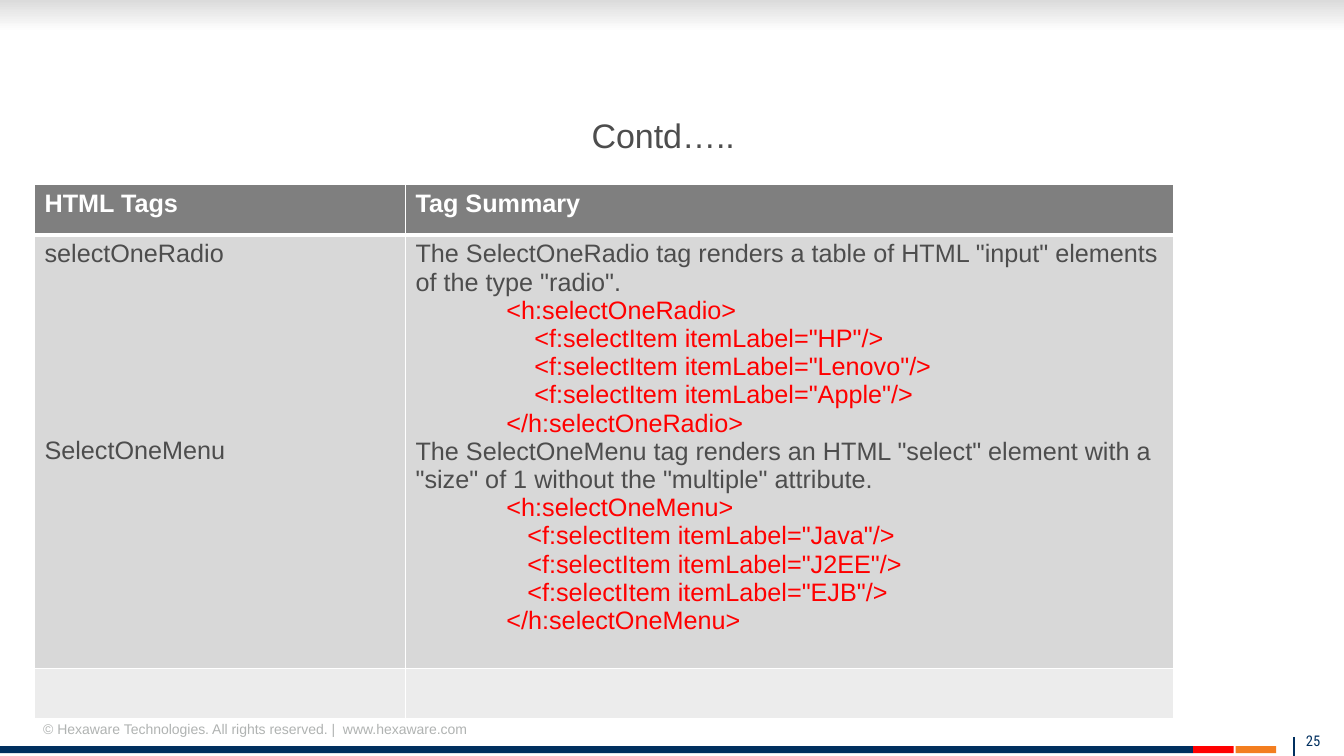
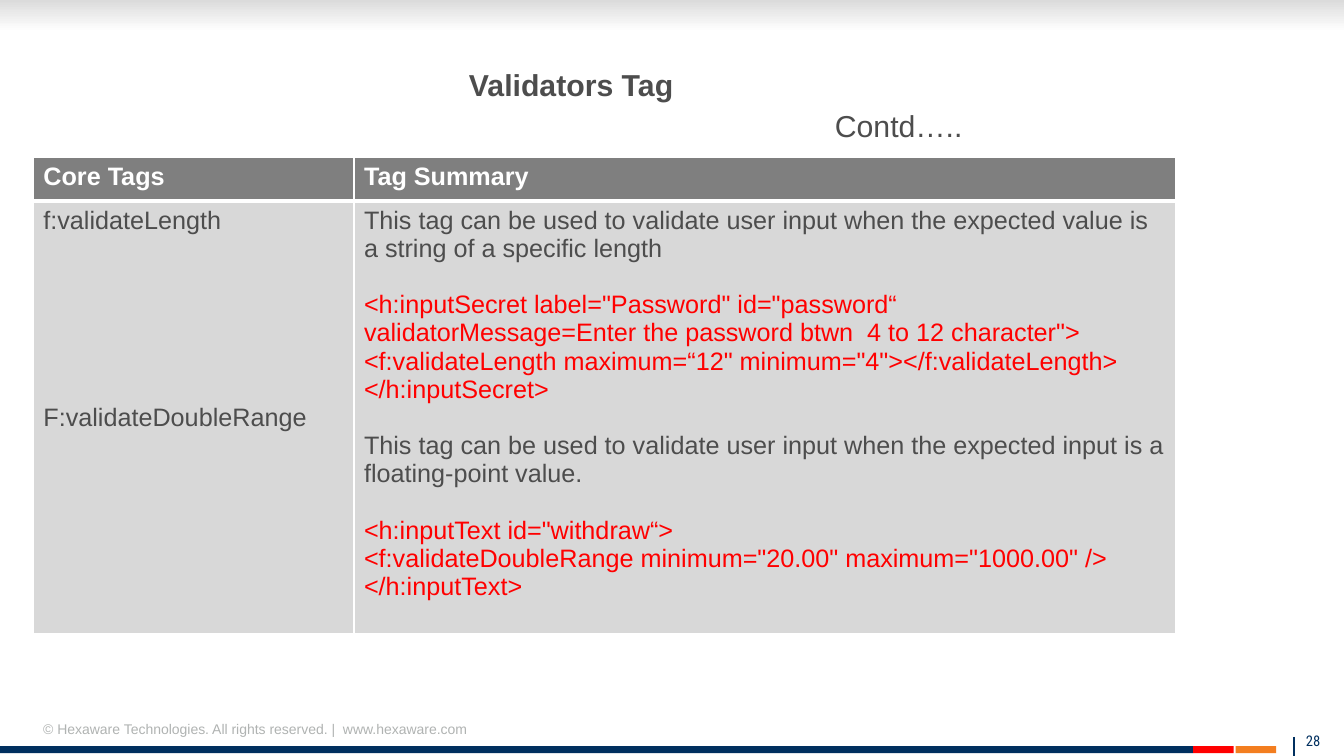
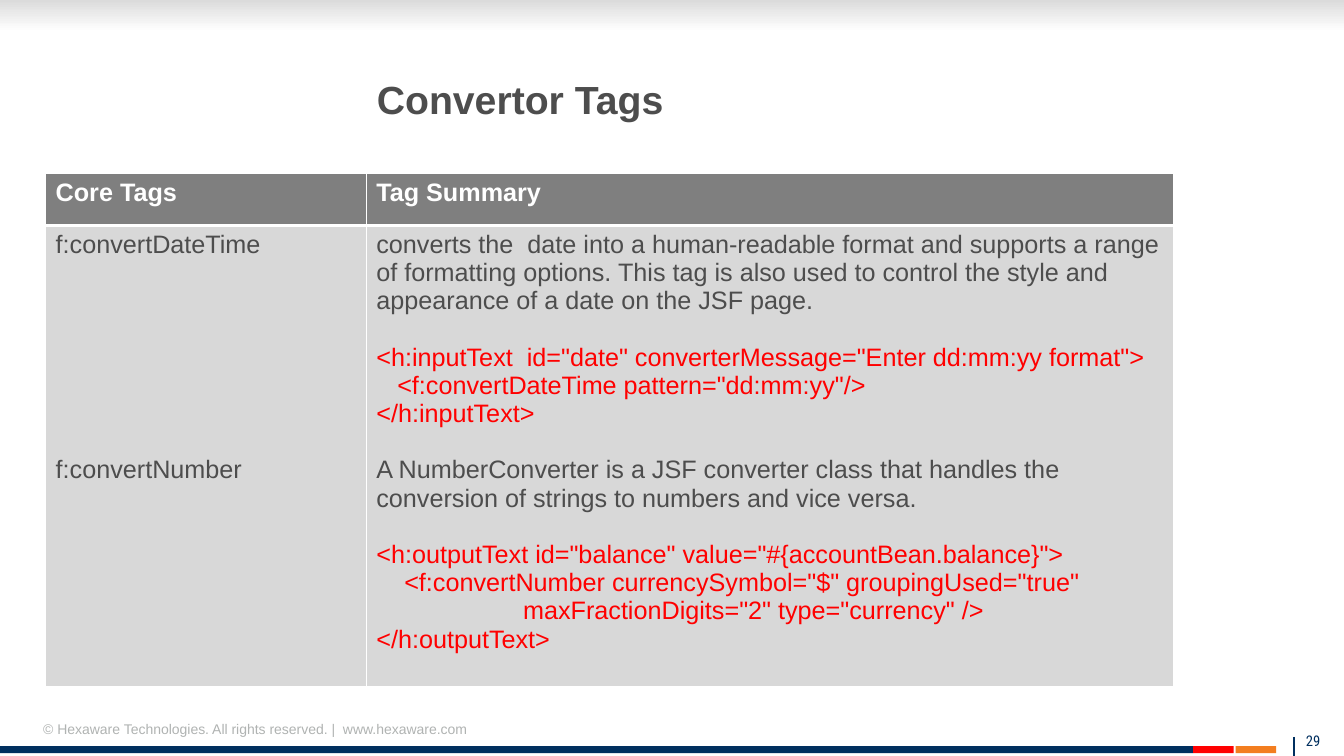
"""Build three slides of JSF tag tables with a shared band, title style and footer."""
import pptx
import pptx.dml.color
import pptx.enum.dml
import pptx.enum.shapes
import pptx.enum.text
import pptx.util
from lxml import etree

Cm, Pt = pptx.util.Cm, pptx.util.Pt
NAVY, RED, ORANGE, WHITE = "002F5F", "FF0000", "F37E20", "FFFFFF"
INK, FOOT, BAND = "4D4D4D", "B0B3B2", "D9D9D9"
HEAD_FILL, ROW_FILLS = "7F7F7F", ("D8D8D8", "ECECEC")
FONT, NUMBER_FONT = "Arial", "Roboto Condensed"
BODY_SIZE, LINE = 18, 20.1
TITLE_LEFT, TITLE_WIDTH, TITLE_HEIGHT = 0.84, 24.56, 1.7
COPYRIGHT = "© Hexaware Technologies. All rights reserved. |  www.hexaware.com"
FOOTER_BARS = [(0, 30.07, NAVY), (30.07, 1.02, RED), (31.14, 1.02, ORANGE)]

# fmt: off
SLIDES = [
    {
        "number": 25,
        "title_top": 2.55,
        "title": [("Contd…..", 24.3, False, 14.91)],
        "at": (0.87, 4.65),
        "cols": (9.35, 19.36),
        "rows": (1.27, 10.9, 1.27),
        "head": ("HTML Tags", "Tag Summary"),
        "tags": [(0, INK, ["selectOneRadio"]), (6, INK, ["SelectOneMenu"])],
        "summary": [
            (0, INK, ['The SelectOneRadio tag renders a table of HTML "input" elements of the type "radio".']),
            (0, RED, [
                '             <h:selectOneRadio>',
                '                 <f:selectItem itemLabel="HP"/>',
                '                 <f:selectItem itemLabel="Lenovo"/>',
                '                 <f:selectItem itemLabel="Apple"/>',
                '             </h:selectOneRadio>',
            ]),
            (0, INK, ['The SelectOneMenu tag renders an HTML "select" element with a "size" of 1 '
                      'without the "multiple" attribute.']),
            (0, RED, [
                '             <h:selectOneMenu>',
                '                <f:selectItem itemLabel="Java"/>',
                '                <f:selectItem itemLabel="J2EE"/>',
                '                <f:selectItem itemLabel="EJB"/>',
                '             </h:selectOneMenu>',
            ]),
        ],
    },
    {
        "number": 28,
        "title_top": 1.8,
        "title": [("Validators Tag", 21.6, True, 11.82), ("Contd…..", 21.6, False, 21.04)],
        "at": (0.84, 3.96),
        "cols": (8.08, 20.7),
        "rows": (1.11, 10.9),
        "head": ("Core Tags", "Tag Summary"),
        "tags": [(0, INK, ["f:validateLength"]), (6, INK, ["F:validateDoubleRange"])],
        "summary": [
            (0, INK, ["This tag can be used to validate user input when the expected value is "
                      "a string of a specific length"]),
            (1, RED, [
                '<h:inputSecret label="Password" id="password“',
                'validatorMessage=Enter the password btwn  4 to 12 character">',
                '<f:validateLength maximum=“12" minimum="4"></f:validateLength>',
                '</h:inputSecret>',
            ]),
            (1, INK, ["This tag can be used to validate user input when the expected input is "
                      "a floating-point value."]),
            (1, RED, [
                '<h:inputText id="withdraw“>',
                '<f:validateDoubleRange minimum="20.00" maximum="1000.00" />',
                '</h:inputText>',
            ]),
        ],
    },
    {
        "number": 29,
        "title_top": 1.65,
        "title": [("Convertor Tags", 28, True, 9.5)],
        "at": (1.15, 4.38),
        "cols": (8.08, 20.35),
        "rows": (1.3, 11.62),
        "head": ("Core Tags", "Tag Summary"),
        "tags": [(0, INK, ["f:convertDateTime"]), (7, INK, ["f:convertNumber"])],
        "summary": [
            (0, INK, ["converts the  date into a human-readable format and supports a range of "
                      "formatting options. This tag is also used to control the style and "
                      "appearance of a date on the JSF page."]),
            (1, RED, [
                '<h:inputText  id="date" converterMessage="Enter dd:mm:yy format">',
                '   <f:convertDateTime pattern="dd:mm:yy"/>',
                '</h:inputText>',
            ]),
            (1, INK, ["A NumberConverter is a JSF converter class that handles the conversion of "
                      "strings to numbers and vice versa."]),
            (1, RED, [
                '<h:outputText id="balance" value="#{accountBean.balance}">',
                '    <f:convertNumber currencySymbol="$" groupingUsed="true"',
                '                     maxFractionDigits="2" type="currency" />',
                '</h:outputText>',
            ]),
        ],
    },
]
# fmt: on


def rgb(color):
    """Turn a hex string into a colour."""
    return pptx.dml.color.RGBColor.from_string(color)


def write(tf, i, text, size, color, bold=False, font=FONT):
    """Write paragraph i of a text frame and return it."""
    p = tf.add_paragraph() if i else tf.paragraphs[0]
    r = p.add_run()
    r.text = text
    r.font.size, r.font.name, r.font.bold = Pt(size), font, bold
    r.font.color.rgb = rgb(color)
    return p


def textbox(s, x, y, w, h):
    """Add a text box and return its frame."""
    return s.shapes.add_textbox(Cm(x), Cm(y), Cm(w), Cm(h)).text_frame


def rect(s, x, y, w, h):
    """Add a rectangle without line or shadow."""
    sp = s.shapes.add_shape(
        pptx.enum.shapes.MSO_SHAPE.RECTANGLE, Cm(x), Cm(y), Cm(w), Cm(h))
    sp.shadow.inherit = False
    sp.line.fill.background()
    return sp


def add_frame(s, number):
    """Draw the top band and the footer."""
    fill = rect(s, 0, -0.05, 33.87, 3.66).fill
    fill.gradient()
    fill.gradient_angle = 270
    for stop, color, position in zip(fill.gradient_stops, (BAND, WHITE), (0, 0.23)):
        stop.color.rgb = rgb(color)
        stop.position = position
    cx = s.shapes.add_connector(
        pptx.enum.shapes.MSO_CONNECTOR.STRAIGHT, Cm(32.61), Cm(18.57), Cm(32.61), Cm(19.05))
    cx.line.color.rgb = rgb(NAVY)
    cx.line.width = Pt(0.75)
    etree.SubElement(cx._element.spPr, pptx.oxml.ns.qn("a:effectLst"))
    for x, w, color in FOOTER_BARS:
        bar = rect(s, x, 18.8, w, 0.18)
        bar.fill.solid()
        bar.fill.fore_color.rgb = rgb(color)
    write(textbox(s, 32.66, 18.31, 1.32, 1.02), 0, str(number), 10.5, NAVY, font=NUMBER_FONT)
    write(textbox(s, 0.84, 18.03, 11.48, 0.69), 0, COPYRIGHT, 10, FOOT)


def add_title(s, top, lines):
    """Write the title lines, each indented to its own start."""
    tf = textbox(s, TITLE_LEFT, top, TITLE_WIDTH, TITLE_HEIGHT)
    tf.word_wrap = True
    tf.vertical_anchor = pptx.enum.text.MSO_ANCHOR.MIDDLE
    tf.margin_left = tf.margin_right = 0
    for i, (text, size, bold, start) in enumerate(lines):
        p = write(tf, i, text, size, INK, bold)
        p._p.get_or_add_pPr().set("marL", str(Cm(start - TITLE_LEFT)))
        if i:
            p.space_before = Pt(3)


def style_cell(cell, color, bottom):
    """Give a cell white borders and a fill."""
    tcPr = cell._tc.get_or_add_tcPr()
    for side, width in (("L", 1), ("R", 1), ("T", 1), ("B", bottom)):
        ln = etree.SubElement(tcPr, pptx.oxml.ns.qn("a:ln" + side), w=str(Pt(width)))
        solid = etree.SubElement(ln, pptx.oxml.ns.qn("a:solidFill"))
        etree.SubElement(solid, pptx.oxml.ns.qn("a:srgbClr"), val=WHITE)
    cell.fill.solid()
    cell.fill.fore_color.rgb = rgb(color)


def fill_body(tf, blocks):
    """Write blocks of lines, each block after its gap in lines."""
    i = 0
    for gap, color, lines in blocks:
        for n, text in enumerate(lines):
            p = write(tf, i, text, BODY_SIZE, color)
            if gap and n == 0:
                p.space_before = Pt(round(gap * LINE, 1))
            i += 1


def add_tags(s, spec):
    """Draw the table of tags and their summaries."""
    rows, cols = spec["rows"], spec["cols"]
    x, y = spec["at"]
    table = s.shapes.add_table(
        len(rows), len(cols), Cm(x), Cm(y), Cm(sum(cols)), Cm(sum(rows))).table
    for col, w in zip(table.columns, cols):
        col.width = Cm(w)
    for r, h in enumerate(rows):
        table.rows[r].height = Cm(h)
        for cell in table.rows[r].cells:
            style_cell(cell, ROW_FILLS[r - 1] if r else HEAD_FILL, 1 if r else 3)
    for c, blocks in enumerate((spec["tags"], spec["summary"])):
        write(table.cell(0, c).text_frame, 0, spec["head"][c], BODY_SIZE, WHITE, True)
        fill_body(table.cell(1, c).text_frame, blocks)


def main():
    """Build and save the slides."""
    prs = pptx.Presentation()
    prs.slide_width, prs.slide_height = Cm(33.87), Cm(19.05)
    for spec in SLIDES:
        s = prs.slides.add_slide(prs.slide_layouts[6])
        add_frame(s, spec["number"])
        add_title(s, spec["title_top"], spec["title"])
        add_tags(s, spec)
    prs.save("out.pptx")


if __name__ == "__main__":
    main()
